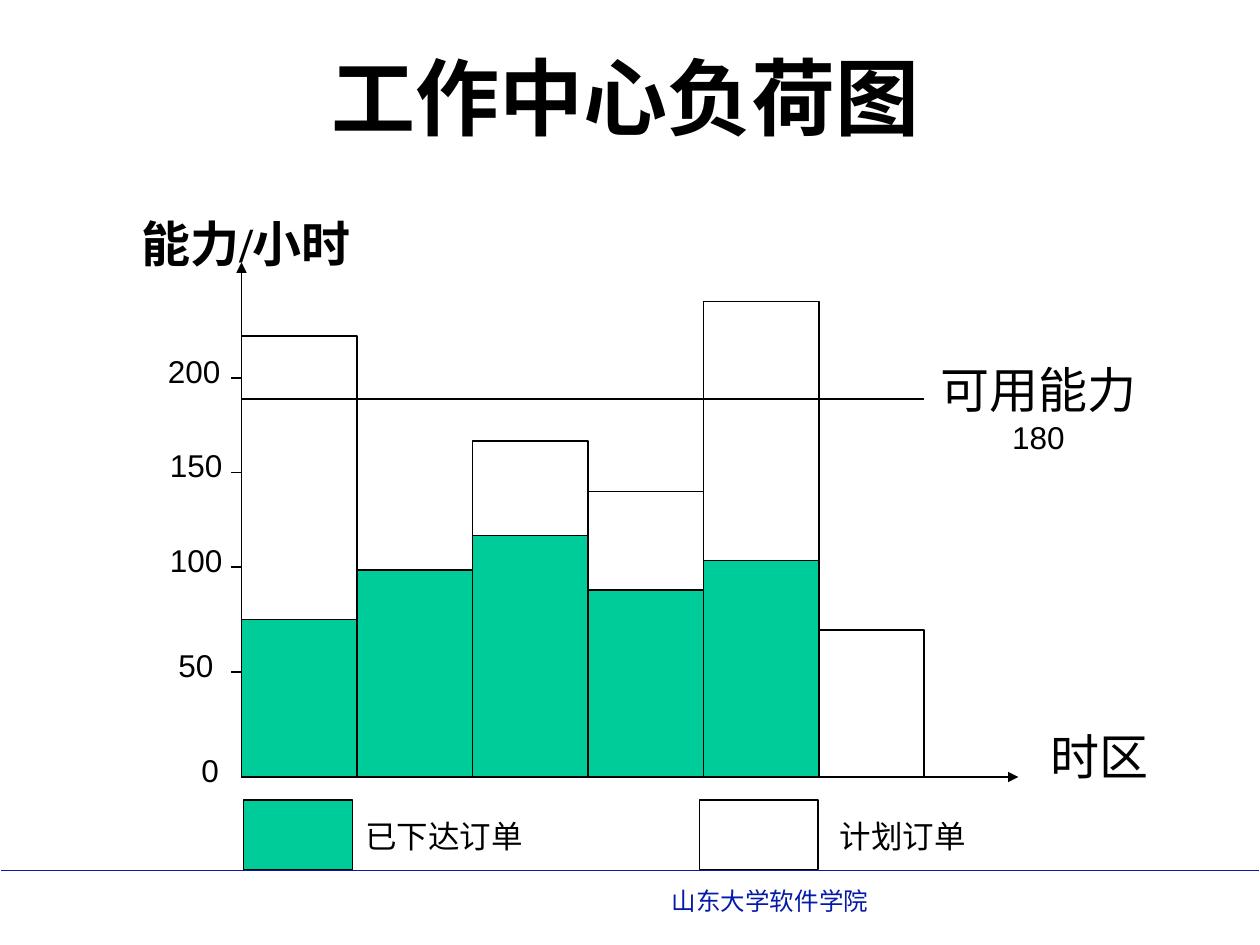
from dataclasses import dataclass
from pptx import Presentation
from pptx.dml.color import RGBColor
from pptx.enum.shapes import MSO_CONNECTOR, MSO_SHAPE
from pptx.enum.text import MSO_ANCHOR, MSO_AUTO_SIZE, PP_ALIGN
from pptx.oxml.ns import qn
from pptx.util import Inches, Pt
from lxml import etree

RECT = MSO_SHAPE.RECTANGLE
LINE = MSO_CONNECTOR.STRAIGHT
TOP = MSO_ANCHOR.TOP
FIXED = MSO_AUTO_SIZE.NONE
LEFT, MID = PP_ALIGN.LEFT, PP_ALIGN.CENTER


@dataclass(frozen=True)
class Theme:
    ink: str = "000000"
    navy: str = "061AAA"
    green: str = "00CC99"
    white: str = "FFFFFF"
    sans: str = "Arial"
    serif: str = "Times New Roman"
    title: int = 48
    head: int = 28
    label: int = 18
    foot: int = 14
    thin: float = 0.75
    rule: float = 1


def grid(*cells):
    return [Inches(cell / 12) for cell in cells]


def rgb(code):
    return RGBColor.from_string(code)


def assign(target, values):
    for name, value in values.items():
        setattr(target, name, value)


class Board:
    def __init__(self, slide, theme):
        self.slide = slide
        self.theme = theme

    def fill_in(self, shape, rows, align=LEFT, color=None, face=None, bold=False):
        frame = shape.text_frame
        assign(frame, {"word_wrap": True, "auto_size": FIXED,
                       "vertical_anchor": TOP})
        for index, (words, size) in enumerate(rows):
            para = frame.add_paragraph() if index else frame.paragraphs[0]
            para.alignment = align
            run = para.add_run()
            run.text = words
            assign(run.font, {"size": Pt(size), "bold": bold,
                              "name": face or self.theme.sans})
            run.font.color.rgb = rgb(color or self.theme.ink)

    def title(self, words, area):
        shape = self.slide.shapes.title
        assign(shape, dict(zip(("left", "top", "width", "height"), grid(*area))))
        self.fill_in(shape, [(words, self.theme.title)], MID, bold=True)

    def text(self, area, *rows, **style):
        self.fill_in(self.slide.shapes.add_textbox(*grid(*area)), rows, **style)

    def box(self, area, fill=None):
        shape = self.slide.shapes.add_shape(RECT, *grid(*area))
        shape.shadow.inherit = False
        if fill:
            shape.fill.solid()
            shape.fill.fore_color.rgb = rgb(fill)
        else:
            shape.fill.background()
        shape.line.color.rgb = rgb(self.theme.ink)
        shape.line.width = Pt(self.theme.thin)

    def line(self, ends, arrow=False, color=None, width=None):
        link = self.slide.shapes.add_connector(LINE, *grid(*ends))
        link.line.color.rgb = rgb(color or self.theme.ink)
        link.line.width = Pt(width or self.theme.thin)
        props = link._element.spPr
        if arrow:
            tail = etree.SubElement(props.find(qn("a:ln")), qn("a:tailEnd"))
            tail.set("type", "triangle")
        etree.SubElement(props, qn("a:effectLst"))


def main():
    deck = Presentation()
    assign(deck, {"slide_width": Inches(10), "slide_height": Inches(7.5)})
    theme = Theme()
    board = Board(deck.slides.add_slide(deck.slide_layouts[5]), theme)

    board.title("工作中心负荷图", (27.2, 3.7, 64.7, 10.8))
    board.line((0.1, 82.9, 119.9, 82.9), color=theme.navy, width=theme.rule)
    board.text((62.8, 83.8, 52, 4), ("山东大学软件学院", theme.foot),
               color=theme.navy)
    board.text((12.3, 19.7, 30, 6.8), ("能力/小时", theme.head),
               face=theme.serif, bold=True)

    left, base, step = 23, 74, 11
    board.line((left, base, 97, base), arrow=True)
    board.line((left, base, left, 25), arrow=True)

    loads = [(15, 27), (19.7, 0), (23, 9), (17.8, 9.4), (20.6, 24.7), (0, 14)]
    for index, (issued, planned) in enumerate(loads):
        x = left + index * step
        wide = step if issued else 10
        if issued:
            board.box((x, base - issued, wide, issued), theme.green)
        if planned:
            board.box((x, base - issued - planned, wide, planned))

    board.line((left, 38, 88, 38))
    board.text((87.2, 33.6, 23.4, 10.4), ("可用能力", theme.head),
               ("180", theme.label), align=MID)
    board.text((98.9, 68.6, 13, 6.8), ("时区", theme.head))

    marks = [(200, 36, 14.8), (150, 45, 15), (100, 54, 15),
             (50, 64, 15.8), (0, base, 18)]
    for value, y, x in marks:
        if value:
            board.line((left, y, left - 1, y))
        board.text((x, y - 3.1, 8, 4.8), (str(value), theme.label))

    keys = [("已下达订单", theme.green, 23.2, 10.4, 33.6, 20.8),
            ("计划订单", theme.white, 66.6, 11.3, 78.8, 15.5)]
    for words, fill, x, wide, start, span in keys:
        board.box((x, 76.2, wide, 6.6), fill)
        board.text((start, 77.2, span, 4.8), (words, theme.label))

    deck.save("out.pptx")


if __name__ == "__main__":
    main()
